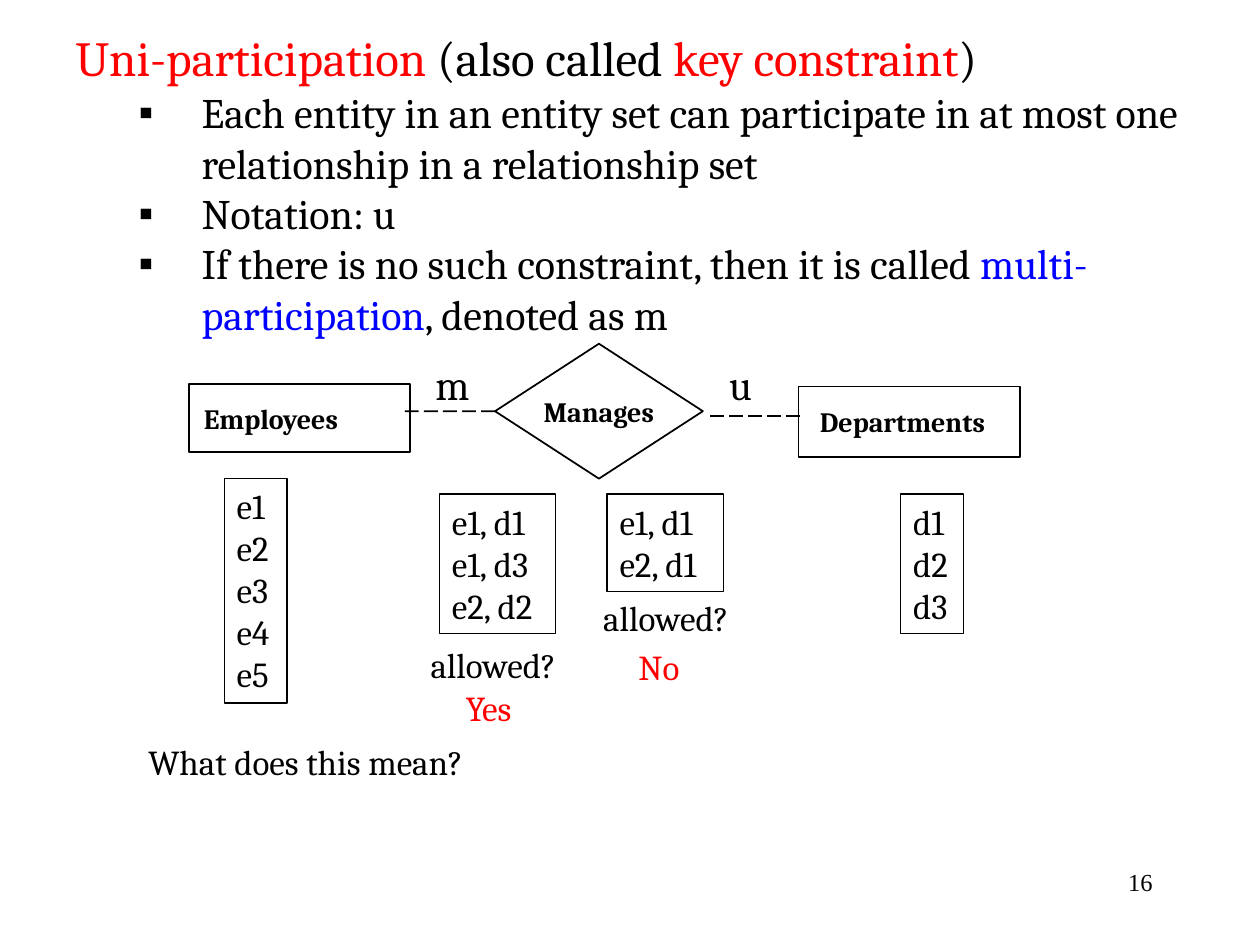
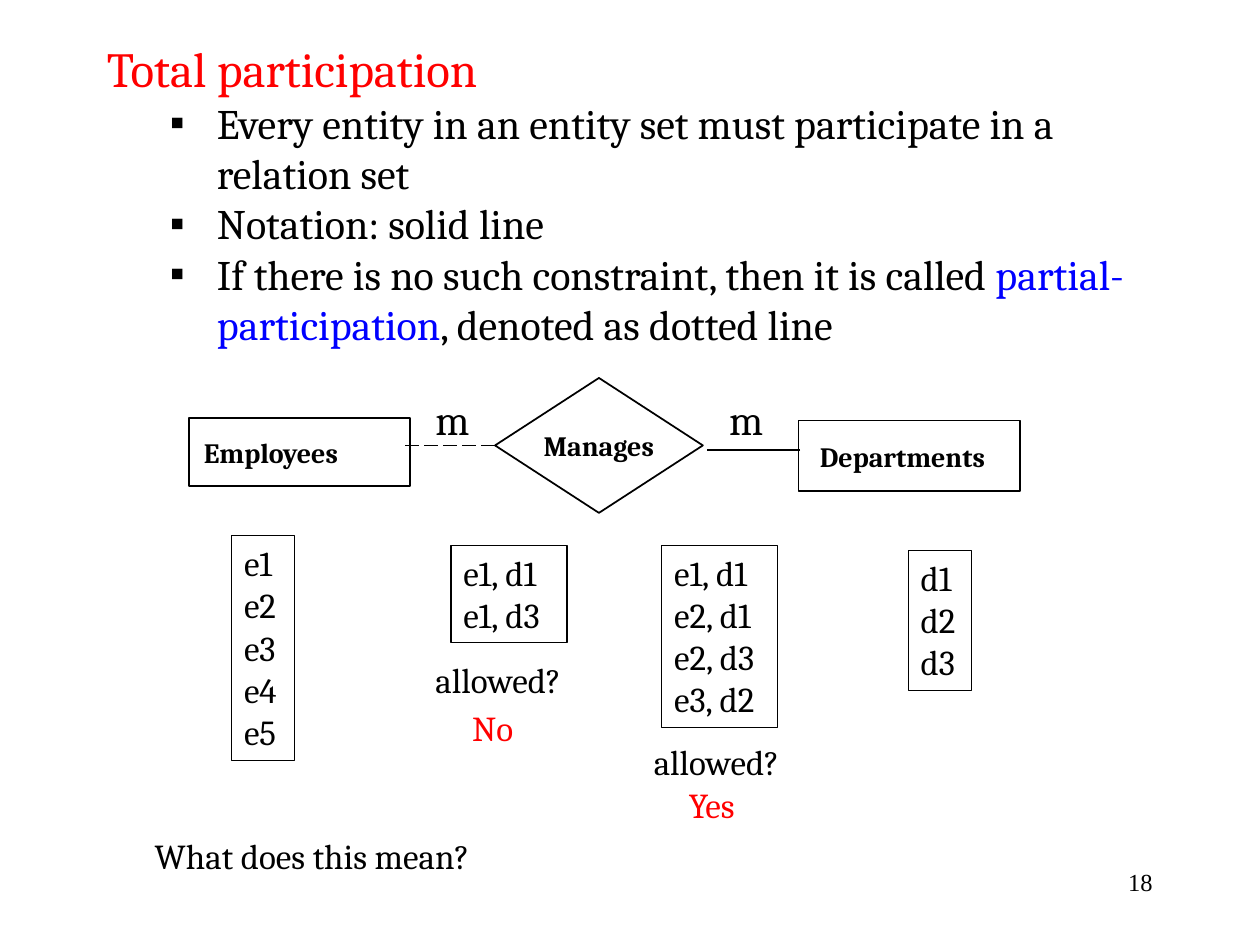
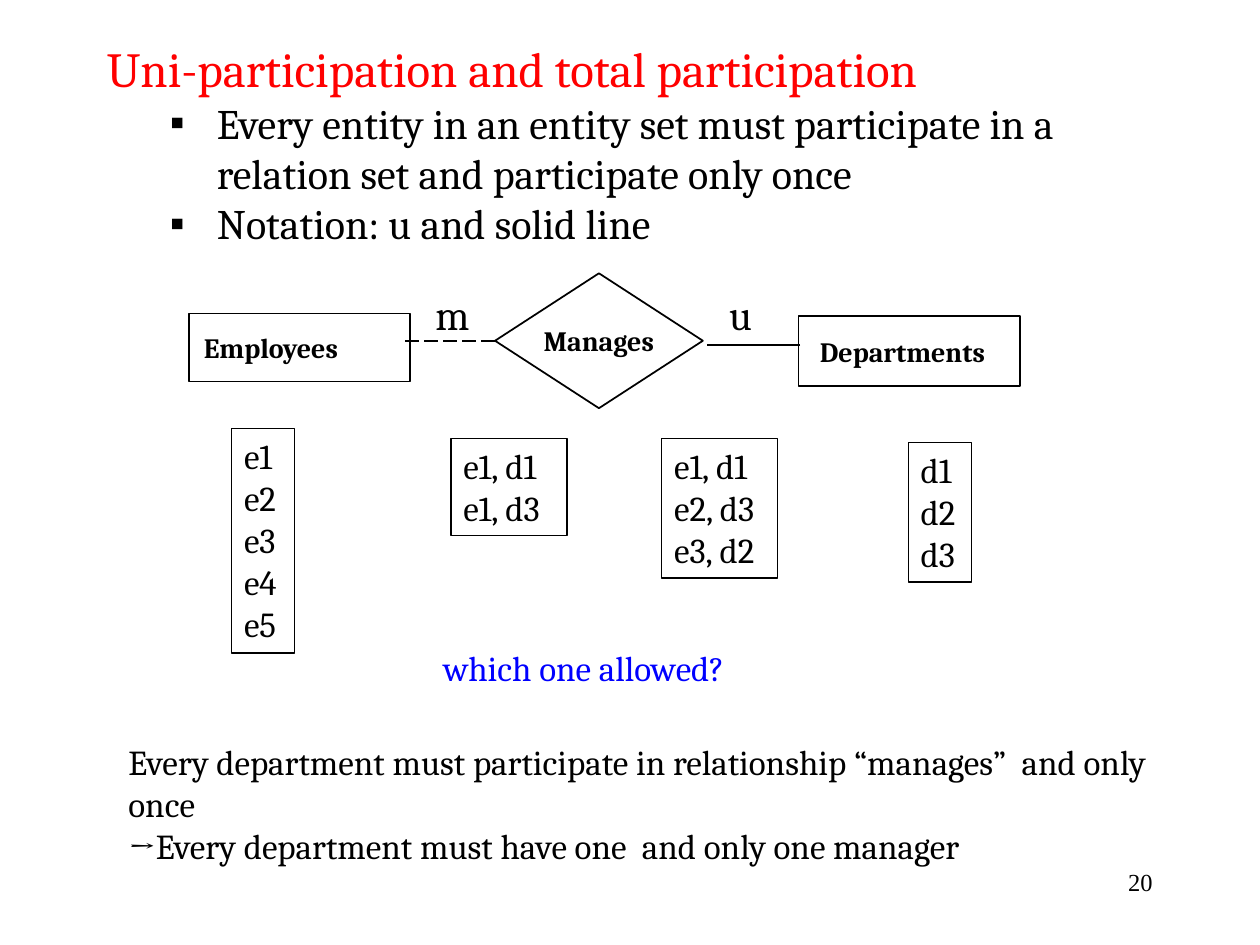
import pptx
import pptx.util
import pptx.dml.color
import pptx.enum.dml
import pptx.enum.shapes
import pptx.enum.text
import pptx.oxml.ns
import lxml.etree

Cm, Pt = pptx.util.Cm, pptx.util.Pt
SHAPE = pptx.enum.shapes.MSO_SHAPE
ALIGN = pptx.enum.text.PP_ALIGN
ANCHOR = pptx.enum.text.MSO_ANCHOR

# Shared look; all lengths are in centimetres
BLACK, RED, BLUE = "000000", "FF0000", "0000FF"
FONT, NUMBER_FONT = "Cambria", "Times New Roman"
INSET, TITLE_LINE, ROW, NOTE_HEIGHT = 0.25, 1.19, 0.855, 1.12
WIDE, NARROW = 2.34, 1.27

EMPLOYEES = ["e1", "e2", "e3", "e4", "e5"]
DEPARTMENTS = ["d1", "d2", "d3"]

# Content: a paragraph is a string or a list of strings and (text, colour) pairs
# sets: left, top, width, rows; notes: left, top, width, colour, paragraphs
SLIDES = [
    dict(
        number="16",
        title=[("Uni-participation ", RED), "(also called ", ("key constraint", RED), ")"],
        bullets=[
            "Each entity in an entity set can participate in at most one "
            "relationship in a relationship set",
            "Notation: u",
            ["If there is no such constraint, then it is called ",
             ("multi-participation", BLUE), ", denoted as m"],
        ],
        head=(1.27, 0.43, 23.7), body_height=5.39, indent=(2.54, -1.27),
        diagram_top=6.93, right_label="u", total=False,
        sets=[(4.52, 9.65, NARROW, EMPLOYEES),
              (8.86, 9.96, WIDE, ["e1, d1", "e1, d3", "e2, d2"]),
              (12.24, 9.96, WIDE, ["e1, d1", "e2, d1"]),
              (18.16, 9.96, NARROW, DEPARTMENTS)],
        notes=[(8.43, 12.85, 3.2, BLACK, ["allowed?"]),
               (9.14, 13.72, 1.68, RED, ["Yes"]),
               (11.91, 11.91, 3.2, BLACK, ["allowed?"]),
               (12.62, 12.88, 1.52, RED, ["No"]),
               (2.74, 14.81, 20.12, BLACK, ["What does this mean?"])],
    ),
    dict(
        number="18",
        title=[("Total participation", RED)],
        bullets=[
            "Every entity in an entity set must participate in a relation set",
            "Notation: solid line",
            ["If there is no such constraint, then it is called ",
             ("partial-participation", BLUE), ", denoted as dotted line"],
        ],
        head=(1.9, 0.64, 21.39), body_height=7.44, indent=(2.22, -0.95),
        diagram_top=7.62, right_label="m", total=True,
        sets=[(4.67, 10.8, NARROW, EMPLOYEES),
              (9.09, 11, WIDE, ["e1, d1", "e1, d3"]),
              (13.34, 11, WIDE, ["e1, d1", "e2, d1", "e2, d3", "e3, d2"]),
              (18.31, 11.1, NARROW, DEPARTMENTS)],
        notes=[(8.53, 13.16, 3.2, BLACK, ["allowed?"]),
               (9.27, 14.12, 1.52, RED, ["No"]),
               (12.93, 14.81, 3.2, BLACK, ["allowed?"]),
               (13.64, 15.67, 1.68, RED, ["Yes"]),
               (2.87, 16.69, 20.12, BLACK, ["What does this mean?"])],
    ),
    dict(
        number="20",
        title=[("Uni-participation and total participation", RED)],
        bullets=[
            "Every entity in an entity set must participate in a relation set "
            "and participate only once",
            "Notation: u and solid line",
        ],
        head=(1.9, 0.64, 21.39), body_height=4.37, indent=(2.22, -0.95),
        diagram_top=5.51, right_label="u", total=True,
        sets=[(4.67, 8.64, NARROW, EMPLOYEES),
              (9.09, 8.84, WIDE, ["e1, d1", "e1, d3"]),
              (13.34, 8.84, WIDE, ["e1, d1", "e2, d3", "e3, d2"]),
              (18.31, 8.92, NARROW, DEPARTMENTS)],
        notes=[(8.69, 12.9, 6.76, BLUE, ["which one allowed?"]),
               (2.34, 14.81, 21.39, BLACK,
                ["Every department must participate in relationship “manages”  and only once",
                 "→Every department must have one  and only one manager"])],
    ),
]


def rgb(color):
    return pptx.dml.color.RGBColor.from_string(color)


def write(tf, paragraphs, size=20, color=BLACK, font=FONT, bold=False,
          align=ALIGN.LEFT, anchor=ANCHOR.TOP, wrap=True, indent=None):
    """Fill a text frame; an indent pair turns its paragraphs into bullets."""
    tf.word_wrap = wrap
    tf.auto_size = pptx.enum.text.MSO_AUTO_SIZE.NONE
    tf.vertical_anchor = anchor
    for i, runs in enumerate(paragraphs):
        p = tf.add_paragraph() if i else tf.paragraphs[0]
        p.alignment = align
        p.space_before = Pt(0)
        if indent:
            pPr = p._p.get_or_add_pPr()
            pPr.set("marL", str(Cm(indent[0])))
            pPr.set("indent", str(Cm(indent[1])))
            bullet = lxml.etree.SubElement(pPr, pptx.oxml.ns.qn("a:buChar"))
            bullet.set("char", "▪")
        for run in [runs] if isinstance(runs, str) else runs:
            text, run_color = (run, color) if isinstance(run, str) else run
            r = p.add_run()
            r.text = text
            r.font.name, r.font.size, r.font.bold = font, Pt(size), bold
            r.font.color.rgb = rgb(run_color)


def place(sp, left, top, width, height):
    sp.left, sp.top, sp.width, sp.height = Cm(left), Cm(top), Cm(width), Cm(height)


def add_text(s, left, top, width, height, paragraphs, **fmt):
    sp = s.shapes.add_textbox(Cm(left), Cm(top), Cm(width), Cm(height))
    write(sp.text_frame, paragraphs, **fmt)


def add_outline(s, kind, left, top, width, height, paragraphs, line=1, inset=INSET, **fmt):
    sp = s.shapes.add_shape(kind, Cm(left), Cm(top), Cm(width), Cm(height))
    sp.shadow.inherit = False
    sp.fill.background()
    sp.line.color.rgb = rgb(BLACK)
    sp.line.width = Pt(line)
    sp.text_frame.margin_left = Cm(inset)
    write(sp.text_frame, paragraphs, **fmt)
    return sp


def add_line(s, x1, x2, y, dashed):
    line = s.shapes.add_connector(pptx.enum.shapes.MSO_CONNECTOR.STRAIGHT,
                                  Cm(x1), Cm(y), Cm(x2), Cm(y))
    line.line.color.rgb = rgb(BLACK)
    line.line.width = Pt(1)
    if dashed:
        line.line.dash_style = pptx.enum.dml.MSO_LINE.LONG_DASH
    lxml.etree.SubElement(line._element.spPr, pptx.oxml.ns.qn("a:effectLst"))
    return line


def add_diagram(s, top, right_label, total):
    """Employees - Manages - Departments, with a participation label on each side."""
    name = dict(size=16, bold=True, anchor=ANCHOR.MIDDLE)
    manages = add_outline(s, SHAPE.DIAMOND, 9.98, top, 4.19, 2.72, ["Manages"],
                          align=ALIGN.CENTER, wrap=False, **name)
    add_outline(s, SHAPE.RECTANGLE, 3.81, top + 0.81, 4.45, 1.37, ["Employees"],
                inset=0.3, **name)
    add_outline(s, SHAPE.RECTANGLE, 16.1, top + 0.86, 4.47, 1.42, ["Departments"],
                inset=0.43, **name)
    add_line(s, 9.98, 8.13, top + 1.36, dashed=True).begin_connect(manages, 1)
    add_line(s, 16.13, 14.25, top + 1.45, dashed=not total)
    for left, label in ((8.53, "m"), (14.45, right_label)):
        add_text(s, left, top + 0.18, 1.27, 1.27, [label], size=24)


def add_slide(prs, content):
    s = prs.slides.add_slide(prs.slide_layouts[1])

    # Heading and bullets
    left, top, width = content["head"]
    title, body = s.shapes.title, s.placeholders[1]
    place(title, left, top, width, TITLE_LINE + 2 * 0.13)
    write(title.text_frame, [content["title"]], size=28)
    place(body, left, top + TITLE_LINE, width, content["body_height"])
    write(body.text_frame, content["bullets"], size=24, indent=content["indent"])

    # Diagram with its example sets and notes
    add_diagram(s, content["diagram_top"], content["right_label"], content["total"])
    for left, top, width, rows in content["sets"]:
        add_outline(s, SHAPE.RECTANGLE, left, top, width, INSET + ROW * len(rows),
                    rows, line=0.75)
    for left, top, width, color, paragraphs in content["notes"]:
        add_text(s, left, top, width, NOTE_HEIGHT * len(paragraphs), paragraphs, color=color)

    # Slide number
    add_text(s, 18.21, 17.35, 5.28, 1.27, [content["number"]],
             size=14, font=NUMBER_FONT, align=ALIGN.RIGHT)


def main():
    prs = pptx.Presentation()
    prs.slide_width, prs.slide_height = Cm(25.4), Cm(19.05)
    for content in SLIDES:
        add_slide(prs, content)
    prs.save("out.pptx")


if __name__ == "__main__":
    main()
